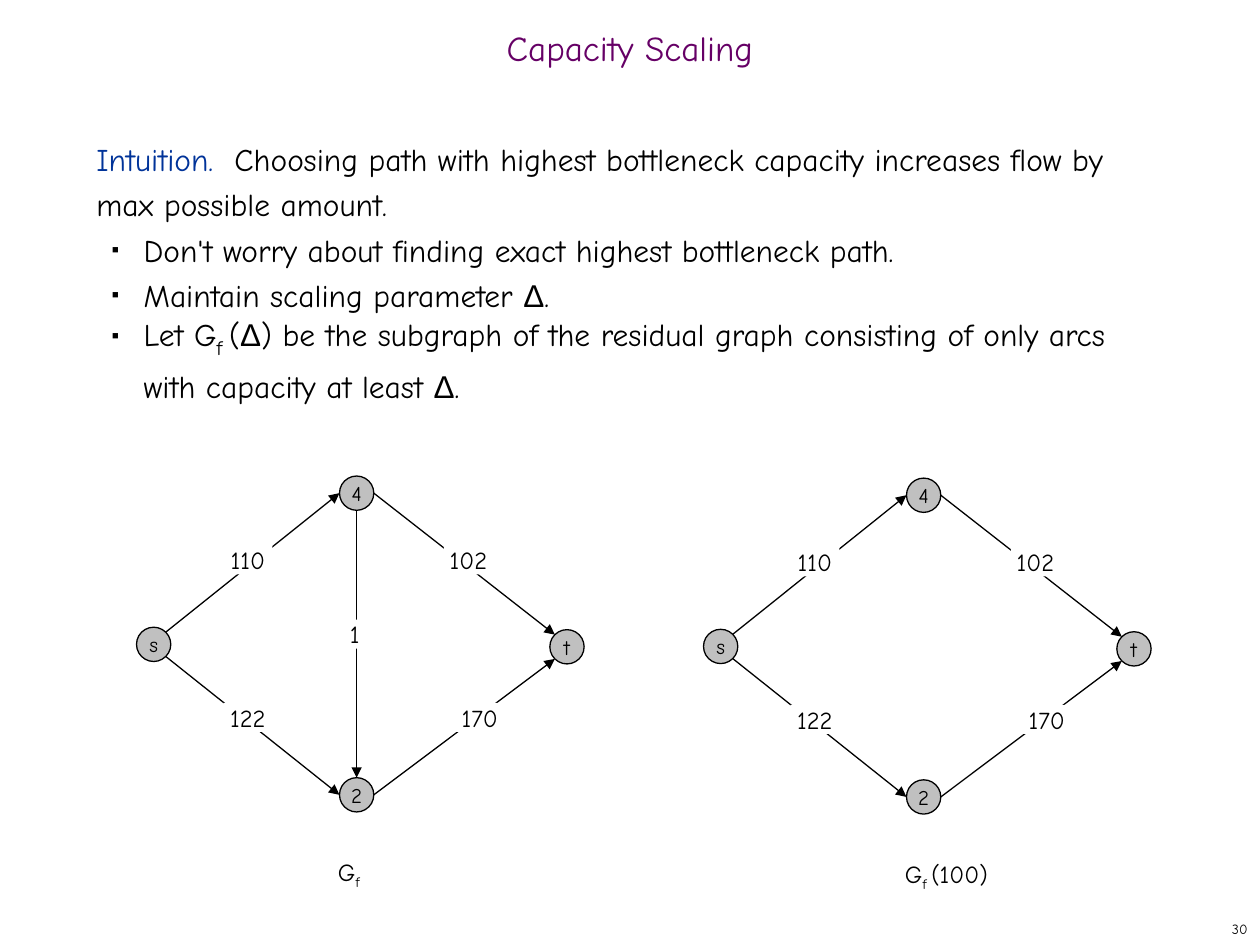
from dataclasses import dataclass
from math import cos, radians, sin

from lxml.etree import SubElement
from pptx import Presentation
from pptx.dml.color import RGBColor
from pptx.enum.shapes import MSO_CONNECTOR as Connector, MSO_SHAPE as Shape
from pptx.enum.text import MSO_ANCHOR as Anchor, PP_ALIGN as Align
from pptx.oxml.ns import qn
from pptx.util import Pt


@dataclass(frozen=True)
class Theme:
    font: str = "Comic Neue"
    symbol_font: str = "Arial"
    title: str = "660066"
    accent: str = "003399"
    ink: str = "000000"
    node: str = "C0C0C0"
    paper: str = "FFFFFF"
    title_size: int = 20
    body_size: int = 18
    label_size: int = 14
    node_size: int = 12
    number_size: int = 8
    line_width: float = 0.75


THEME = Theme()
DIAMETER = 19.6
LABEL_HEIGHT = 16.6

# Node name: left and top, relative to the graph's box
NODES = {"s": (0, 86.4), "4": (116, 0), "2": (116, 172.4), "t": (236.2, 87.8)}

# From, angle it leaves at, to, angle it enters at, capacity, label left, top, width
# Angles are in degrees, clockwise from the right-hand side of a node.
EDGES = [
    ("s", -45, "4", 180, "110", 49.7, 39.6, 28),
    ("s", 45, "2", 180, "122", 49.7, 129.6, 28),
    ("4", 0, "t", 225, "102", 175.7, 39.6, 28),
    ("2", 0, "t", 135, "170", 182.2, 129.6, 28),
    ("4", 90, "2", 270, "1", 113.5, 82.1, 22.3),
]


def rgb(value):
    return RGBColor.from_string(value)


def add_run(paragraph, text, size, color=THEME.ink, font=THEME.font, subscript=False):
    run = paragraph.add_run()
    run.text = text
    run.font.size = Pt(size)
    run.font.name = font
    run.font.color.rgb = rgb(color)
    if subscript:
        run.font._element.set("baseline", "-25000")


def add_symbol_runs(paragraph, text, size):
    """Adds text, with each Δ in a run of the symbol font."""
    for index, part in enumerate(text.split("Δ")):
        if index:
            add_run(paragraph, "Δ", size, font=THEME.symbol_font)
        if part:
            add_run(paragraph, part, size)


def add_textbox(slide, left, top, width, height):
    frame = slide.shapes.add_textbox(Pt(left), Pt(top), Pt(width), Pt(height)).text_frame
    frame.word_wrap = True
    return frame


def add_label_shape(slide, kind, box, text, size, fill, outline=None):
    shape = slide.shapes.add_shape(kind, *map(Pt, box))
    shape.shadow.inherit = False
    shape.fill.solid()
    shape.fill.fore_color.rgb = rgb(fill)
    if outline:
        shape.line.color.rgb = rgb(outline)
        shape.line.width = Pt(THEME.line_width)
    else:
        shape.line.fill.background()
    frame = shape.text_frame
    frame.margin_left = frame.margin_right = frame.margin_top = frame.margin_bottom = 0
    frame.word_wrap = False
    frame.vertical_anchor = Anchor.MIDDLE
    paragraph = frame.paragraphs[0]
    paragraph.alignment = Align.CENTER
    add_run(paragraph, text, size)


def add_arrow(slide, start, end):
    arrow = slide.shapes.add_connector(Connector.STRAIGHT, *map(Pt, start + end))
    arrow.line.color.rgb = rgb(THEME.ink)
    arrow.line.width = Pt(THEME.line_width)
    SubElement(arrow.line._get_or_add_ln(), qn("a:tailEnd"), type="triangle")
    SubElement(arrow._element.spPr, qn("a:effectLst"))


def add_title(slide, left, top, width, height):
    title = slide.shapes.title
    title.left, title.top, title.width, title.height = map(Pt, (left, top, width, height))
    title.text_frame.vertical_anchor = Anchor.MIDDLE
    paragraph = title.text_frame.paragraphs[0]
    paragraph.alignment = Align.CENTER
    paragraph.line_spacing = 0.7
    add_run(paragraph, "Capacity Scaling", THEME.title_size, THEME.title)


def add_bullet(frame):
    paragraph = frame.add_paragraph()
    paragraph.level = 1
    paragraph.line_spacing = Pt(26)
    properties = paragraph._p.get_or_add_pPr()
    properties.set("marL", str(Pt(27)))
    properties.set("indent", str(Pt(-18)))
    color = SubElement(properties, qn("a:buClr"))
    SubElement(color, qn("a:srgbClr"), val=THEME.ink)
    SubElement(properties, qn("a:buSzPct"), val="35000")
    SubElement(properties, qn("a:buFont"), typeface=THEME.symbol_font)
    SubElement(properties, qn("a:buChar"), char="■")
    return paragraph


def add_body(slide, left, top, width, height):
    size = THEME.body_size
    frame = add_textbox(slide, left, top, width, height)
    intuition = frame.paragraphs[0]
    intuition.line_spacing = Pt(26)
    add_run(intuition, "Intuition.  ", size, THEME.accent)
    add_run(intuition, "Choosing path with highest bottleneck capacity increases "
                       "flow by max possible amount.", size)
    for text in ("Don't worry about finding exact highest bottleneck path.",
                 "Maintain scaling parameter Δ."):
        add_symbol_runs(add_bullet(frame), text, size)
    subgraph = add_bullet(frame)
    add_run(subgraph, "Let G", size)
    add_run(subgraph, "f ", THEME.title_size, subscript=True)
    add_symbol_runs(subgraph, "(Δ) be the subgraph of the residual graph consisting of "
                              "only arcs with capacity at least Δ.", size)


def add_graph(slide, left, top, edges, caption_left, caption_width, argument=""):
    def rim(node, angle):
        x, y = NODES[node]
        radius = DIAMETER / 2
        return (left + x + radius * (1 + cos(radians(angle))),
                top + y + radius * (1 + sin(radians(angle))))

    # Arrows, each with its capacity on top
    for source, leaving, target, entering, capacity, x, y, width in edges:
        add_arrow(slide, rim(source, leaving), rim(target, entering))
        add_label_shape(slide, Shape.RECTANGLE, (left + x, top + y, width, LABEL_HEIGHT),
                        capacity, THEME.label_size, THEME.paper)
    # Nodes
    for name, (x, y) in NODES.items():
        add_label_shape(slide, Shape.OVAL, (left + x, top + y, DIAMETER, DIAMETER),
                        name, THEME.node_size, THEME.node, THEME.ink)
    # Caption
    frame = add_textbox(slide, left + caption_left, top + 214, caption_width, 26.6)
    caption = frame.paragraphs[0]
    add_run(caption, "G", THEME.label_size)
    add_run(caption, "f " if argument else "f", THEME.label_size, subscript=True)
    if argument:
        add_run(caption, argument, THEME.label_size)


def add_slide_number(slide, left, top, width, height):
    frame = add_textbox(slide, left, top, width, height)
    frame.vertical_anchor = Anchor.MIDDLE
    paragraph = frame.paragraphs[0]
    paragraph.alignment = Align.RIGHT
    add_run(paragraph, "30", THEME.number_size)


def main():
    presentation = Presentation()
    presentation.slide_width, presentation.slide_height = Pt(720), Pt(540)
    slide = presentation.slides.add_slide(presentation.slide_layouts[5])
    add_title(slide, 0, 12, 720, 36)
    add_body(slide, 48, 72, 618, 426)
    # The residual graph, and its arcs of capacity 100 or more
    large_edges = [edge for edge in EDGES if int(edge[4]) >= 100]
    add_graph(slide, 78, 272, EDGES, 108, 48)
    add_graph(slide, 402, 273.2, large_edges, 108, 90, "(100)")
    add_slide_number(slide, 570, 522, 150, 18)
    presentation.save("out.pptx")


if __name__ == "__main__":
    main()
